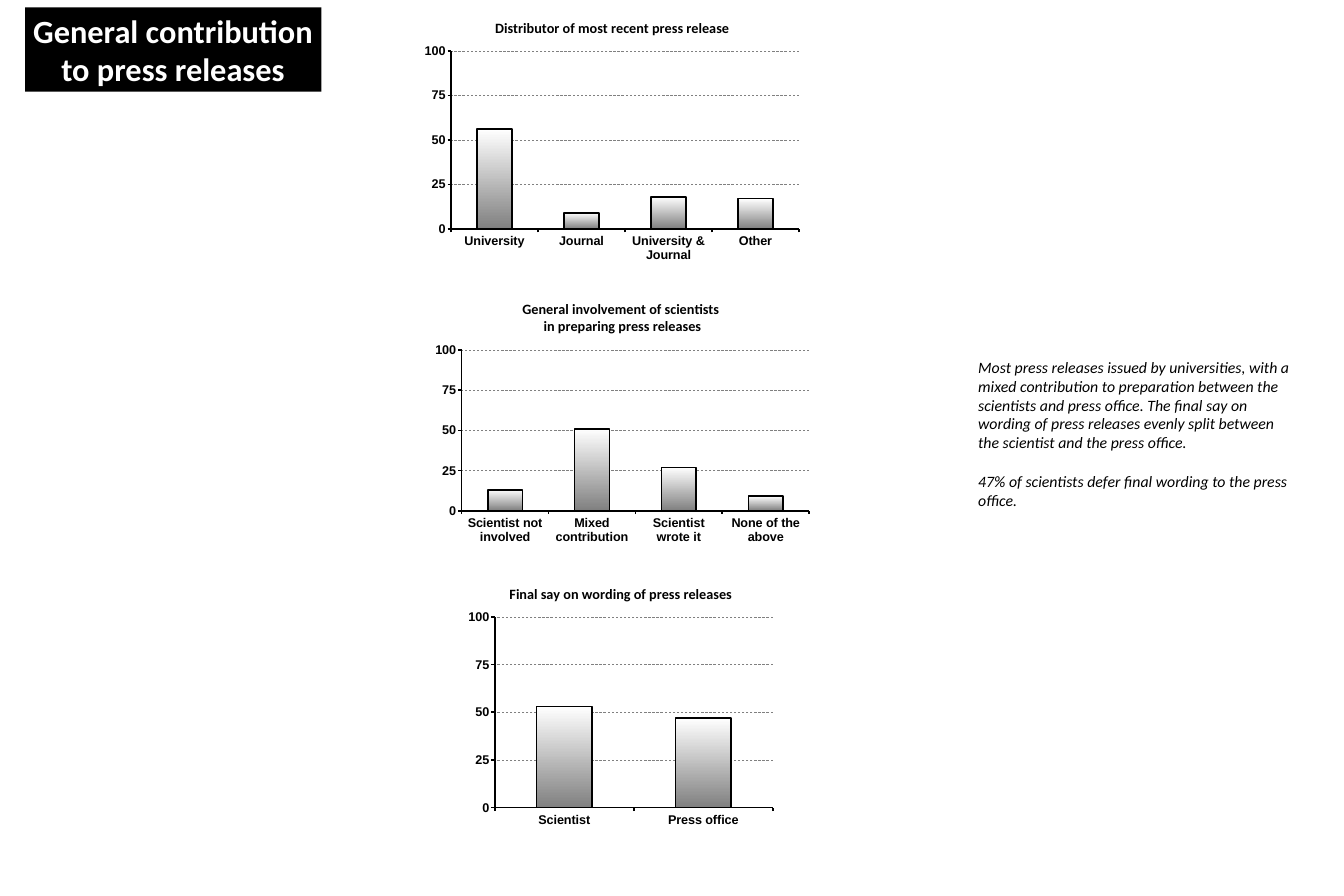
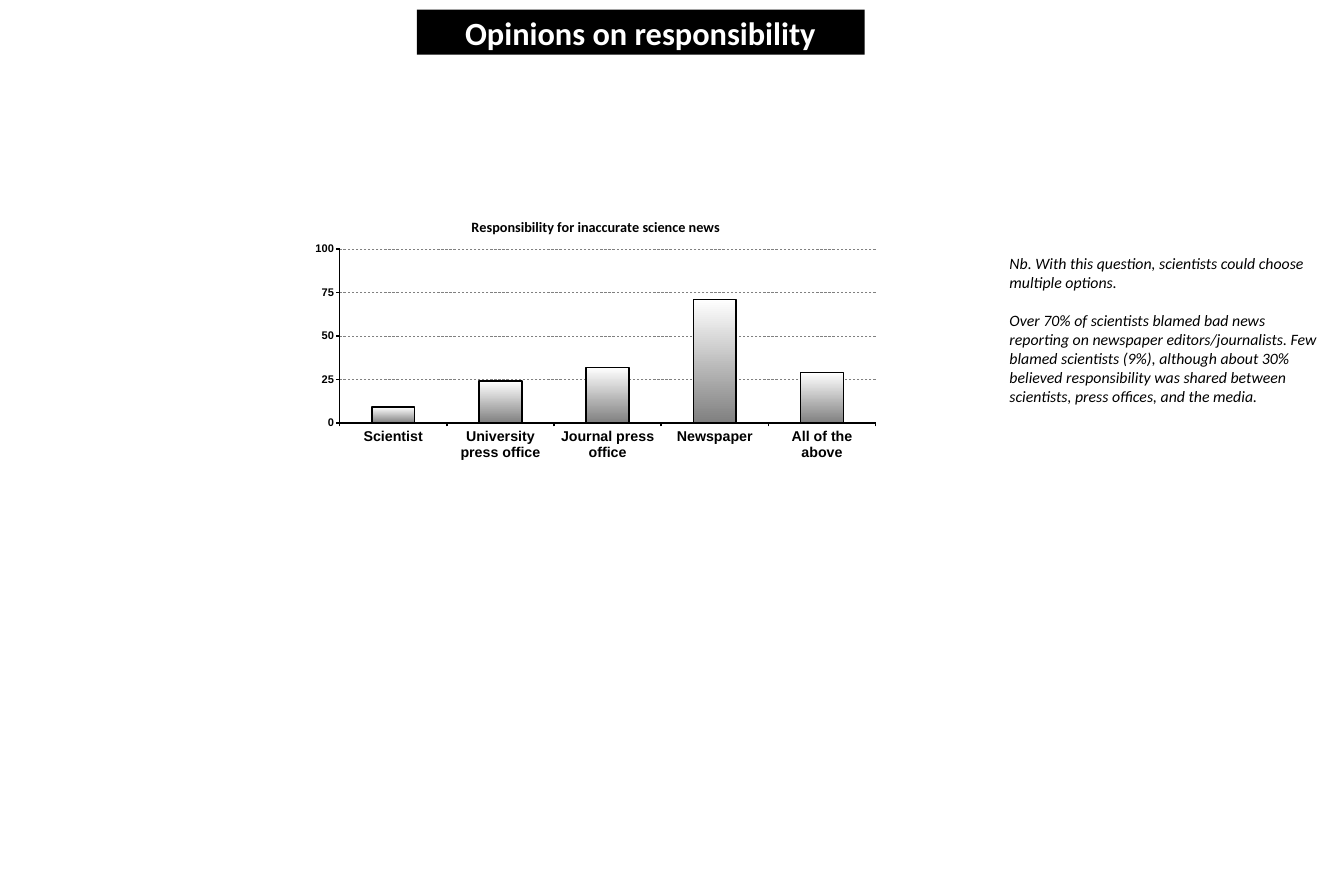
from dataclasses import dataclass

import pptx
import pptx.chart.data
import pptx.dml.color
import pptx.enum.chart
import pptx.enum.dml
import pptx.enum.text
import pptx.oxml
import pptx.util

Pt = pptx.util.Pt
RGBColor = pptx.dml.color.RGBColor

BLACK = RGBColor(0x00, 0x00, 0x00)
GRAY = RGBColor(0x80, 0x80, 0x80)
WHITE = RGBColor(0xFF, 0xFF, 0xFF)
TEXT_FONT = "Calibri"
AXIS_FONT = "Arial"
NOTE_SIZE = 20
LINE_WIDTH = 2


@dataclass(frozen=True)
class Box:
    left: float
    top: float
    width: float
    height: float

    def lengths(self) -> tuple:
        return Pt(self.left), Pt(self.top), Pt(self.width), Pt(self.height)


@dataclass(frozen=True)
class BarChart:
    title: str
    box: Box
    plot: Box
    values: dict[str, int]
    category_size: float = 16
    value_size: float = 16


@dataclass(frozen=True)
class ResultSlide:
    title: str
    title_box: Box
    note: str
    note_box: Box
    charts: tuple[BarChart, ...]


SLIDES = (
    ResultSlide(
        "General contribution to press releases",
        Box(31.7, 9.4, 375.1, 106.6),
        "Most press releases issued by universities, with a mixed contribution to "
        "preparation between the scientists and press office. The final say on wording "
        "of press releases evenly split between the scientist and the press office.\n"
        "47% of scientists defer final wording to the press office.",
        Box(1231.2, 448.6, 411.1, 203),
        (
            BarChart(
                "Distributor of most recent press release",
                Box(528.5, 9.4, 493.2, 329),
                Box(42.5, 55, 440.5, 225.5),
                {"University": 56, "Journal": 9, "University & Journal": 18, "Other": 17},
            ),
            BarChart(
                "General involvement of scientists \nin preparing press releases",
                Box(541.4, 366.5, 493.2, 328.3),
                Box(43, 76.5, 440, 203.5),
                {
                    "Scientist not involved": 13,
                    "Mixed contribution": 51,
                    "Scientist wrote it": 27,
                    "None of the above": 9,
                },
            ),
            BarChart(
                "Final say on wording of press releases",
                Box(585.4, 725.8, 401, 328.3),
                Box(41, 55, 352, 241.5),
                {"Scientist": 53, "Press office": 47},
            ),
        ),
    ),
    ResultSlide(
        "Opinions on responsibility",
        Box(527.8, 12.2, 566.6, 56.9),
        "Nb. With this question, scientists could choose multiple options.\n"
        "Over 70% of scientists blamed bad news reporting on newspaper "
        "editors/journalists. Few blamed scientists (9%), although about 30% believed "
        "responsibility was shared between scientists, press offices, and the media.",
        Box(1270.8, 317.5, 411.1, 272.2),
        (
            BarChart(
                "Responsibility for inaccurate science news",
                Box(384.5, 261.4, 739.4, 328.3),
                Box(45.5, 54, 678.5, 220),
                {
                    "Scientist": 9,
                    "University press office": 24,
                    "Journal press office": 32,
                    "Newspaper": 71,
                    "All of the above": 29,
                },
                category_size=18,
                value_size=14,
            ),
        ),
    ),
)


def style_font(font, name: str, size: float, color: RGBColor = BLACK,
               bold: bool = False, italic: bool = False) -> None:
    font.name = name
    font.size = Pt(size)
    font.color.rgb = color
    font.bold = bold
    font.italic = italic


def style_line(line, color: RGBColor = BLACK, width: float = LINE_WIDTH) -> None:
    line.color.rgb = color
    line.width = Pt(width)


def add_title(s, text: str, box: Box) -> None:
    sp = s.shapes.title
    sp.left, sp.top, sp.width, sp.height = box.lengths()
    sp.fill.solid()
    sp.fill.fore_color.rgb = BLACK
    tf = sp.text_frame
    tf.text = text
    tf.word_wrap = True
    tf.auto_size = pptx.enum.text.MSO_AUTO_SIZE.NONE
    p = tf.paragraphs[0]
    p.alignment = pptx.enum.text.PP_ALIGN.CENTER
    style_font(p.runs[0].font, TEXT_FONT, 41, WHITE, bold=True)


def add_note(s, text: str, box: Box) -> None:
    tf = s.shapes.add_textbox(*box.lengths()).text_frame
    tf.word_wrap = True
    tf.text = text
    for p in tf.paragraphs:
        style_font(p.runs[0].font, TEXT_FONT, NOTE_SIZE, italic=True)
    for p in tf.paragraphs[1:]:
        p.space_before = Pt(1.22 * NOTE_SIZE)


def place_plot(chart, box: Box, plot: Box) -> None:
    plot_area = chart.plots[0]._element.getparent()
    for old in plot_area.findall(pptx.oxml.ns.qn("c:layout")):
        plot_area.remove(old)
    fractions = {
        "x": plot.left / box.width,
        "y": plot.top / box.height,
        "w": plot.width / box.width,
        "h": plot.height / box.height,
    }
    modes = "".join(f'<c:{axis}Mode val="edge"/>' for axis in "xy")
    sizes = "".join(f'<c:{key} val="{value:.4f}"/>' for key, value in fractions.items())
    layout = pptx.oxml.parse_xml(
        f'<c:layout {pptx.oxml.ns.nsdecls("c")}><c:manualLayout>'
        f'<c:layoutTarget val="inner"/>{modes}{sizes}</c:manualLayout></c:layout>'
    )
    plot_area.insert(0, layout)


def add_bar_chart(s, spec_chart: BarChart) -> None:
    data = pptx.chart.data.CategoryChartData()
    data.categories = list(spec_chart.values)
    data.add_series("Series 1", list(spec_chart.values.values()))
    chart = s.shapes.add_chart(
        pptx.enum.chart.XL_CHART_TYPE.COLUMN_CLUSTERED, *spec_chart.box.lengths(), data
    ).chart
    style_font(chart.font, TEXT_FONT, 10)
    chart.has_legend = False
    chart.has_title = True
    chart.chart_title.include_in_layout = False
    tf = chart.chart_title.text_frame
    tf.text = spec_chart.title
    for p in tf.paragraphs:
        style_font(p.runs[0].font, TEXT_FONT, 18, bold=True)

    for axis, size in (
        (chart.category_axis, spec_chart.category_size),
        (chart.value_axis, spec_chart.value_size),
    ):
        axis.major_tick_mark = pptx.enum.chart.XL_TICK_MARK.OUTSIDE
        axis.minor_tick_mark = pptx.enum.chart.XL_TICK_MARK.NONE
        style_font(axis.tick_labels.font, AXIS_FONT, size, bold=True)
        style_line(axis.format.line)
    value_axis = chart.value_axis
    value_axis.minimum_scale = 0
    value_axis.maximum_scale = 100
    value_axis.major_unit = 25
    value_axis.has_major_gridlines = True
    grid = value_axis.major_gridlines.format.line
    style_line(grid, GRAY, 0.75)
    grid.dash_style = pptx.enum.dml.MSO_LINE.DASH

    bars = chart.plots[0]
    bars.gap_width = 150
    bars.vary_by_categories = False
    fmt = bars.series[0].format
    fmt.fill.gradient()
    fmt.fill.gradient_angle = 90
    for stop, color in zip(fmt.fill.gradient_stops, (GRAY, WHITE)):
        stop.color.rgb = color
    style_line(fmt.line)
    place_plot(chart, spec_chart.box, spec_chart.plot)


def main() -> None:
    prs = pptx.Presentation()
    prs.slide_width, prs.slide_height = Pt(1701.36), Pt(1134)
    title_only = prs.slide_layouts.get_by_name("Title Only")
    for result in SLIDES:
        s = prs.slides.add_slide(title_only)
        add_title(s, result.title, result.title_box)
        for bar_chart in result.charts:
            add_bar_chart(s, bar_chart)
        add_note(s, result.note, result.note_box)
    prs.save("out.pptx")


if __name__ == "__main__":
    main()
